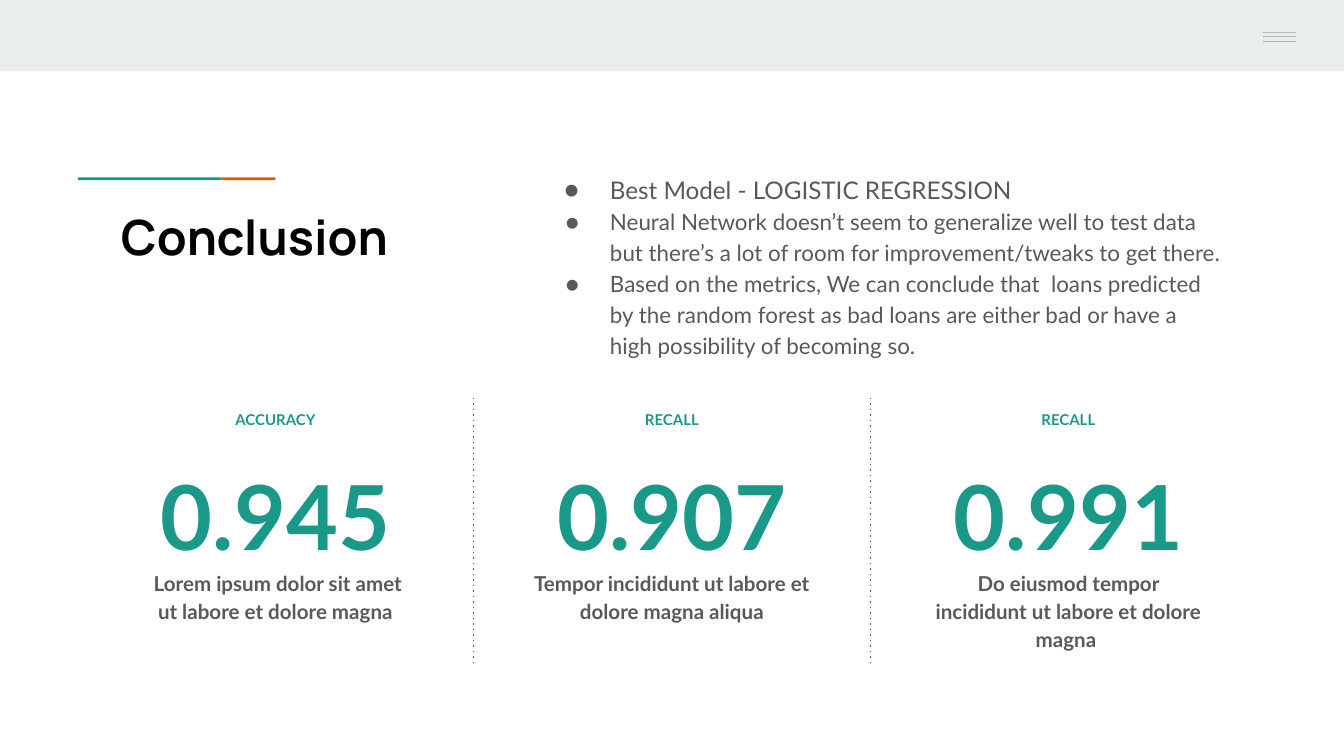
from pptx import Presentation
from pptx.dml.color import RGBColor
from pptx.enum.shapes import MSO_CONNECTOR, MSO_SHAPE
from pptx.enum.text import MSO_ANCHOR, PP_ALIGN
from pptx.oxml import parse_xml
from pptx.oxml.ns import nsdecls
from pptx.util import Inches, Pt

TEAL = RGBColor(0x1A, 0x99, 0x88)
ORANGE = RGBColor(0xEB, 0x56, 0x00)
GRAY = RGBColor(0x59, 0x59, 0x59)
SILVER = RGBColor(0xB7, 0xB7, 0xB7)
PALE = RGBColor(0xE9, 0xED, 0xEE)
BLACK = RGBColor(0, 0, 0)

deck = Presentation()
deck.slide_width = Inches(10)
deck.slide_height = Inches(10 * 9 / 16)
slide = deck.slides.add_slide(deck.slide_layouts[5])
shapes = slide.shapes


def style(frame, name, color, bold):
    frame.word_wrap = True
    frame.vertical_anchor = MSO_ANCHOR.TOP
    frame.margin_left = frame.margin_right = Inches(0.1)
    frame.margin_top = frame.margin_bottom = Inches(0.1)
    for para in frame.paragraphs:
        for run in para.runs:
            run.font.name = name
            run.font.color.rgb = color
            run.font.bold = bold


def rule(x1, y1, x2, y2, color):
    line = shapes.add_connector(
        MSO_CONNECTOR.STRAIGHT, Inches(x1), Inches(y1), Inches(x2), Inches(y2))
    line.line.color.rgb = color
    line.line.width = Pt(0.75)
    line._element.spPr.append(parse_xml(f"<a:effectLst {nsdecls('a')}/>"))
    return line


bars = [
    (0, 0, 10, 0.53, PALE),
    (0.58, 1.32, 1.07, 0.02, TEAL),
    (1.65, 1.32, 0.4, 0.02, ORANGE),
]
for left, top, width, height, color in bars:
    bar = shapes.add_shape(
        MSO_SHAPE.RECTANGLE, Inches(left), Inches(top), Inches(width), Inches(height))
    bar.shadow.inherit = False
    bar.fill.solid()
    bar.fill.fore_color.rgb = color
    bar.line.fill.background()

for y in (0.24, 0.27, 0.31):
    rule(9.4, y, 9.64, y, SILVER)

title = shapes.title
title.left, title.top = Inches(0.8), Inches(1.44)
title.width, title.height = Inches(3.06), Inches(1.13)
title.text_frame.text = "Conclusion"
style(title.text_frame, "Manrope", BLACK, True)
head = title.text_frame.paragraphs[0]
head.alignment = PP_ALIGN.LEFT
head.runs[0].font.size = Pt(26)

points = [
    ("Best Model - LOGISTIC REGRESSION", 13, 0.34),
    ("Neural Network doesn’t seem to generalize well to test data but there’s "
     "a lot of room for improvement/tweaks to get there.", 12, 0.33),
    ("Based on the metrics, We can conclude that  loans predicted by the random "
     "forest as bad loans are either bad or have a high possibility of becoming so.",
     12, 0.33),
]
body = shapes.add_textbox(
    Inches(3.94), Inches(1.17), Inches(5.25), Inches(1.64)).text_frame
body.text = "\n".join(text for text, size, hang in points)
for para, (text, size, hang) in zip(body.paragraphs, points):
    para.line_spacing = 1.15
    props = para._p.get_or_add_pPr()
    props.set("marL", str(Inches(0.5)))
    props.set("indent", str(-Inches(hang)))
    props.append(parse_xml(
        f"<a:buClr {nsdecls('a')}><a:srgbClr val='{GRAY}'/></a:buClr>"))
    props.append(parse_xml(f"<a:buFont {nsdecls('a')} typeface='Lato'/>"))
    props.append(parse_xml(f"<a:buChar {nsdecls('a')} char='●'/>"))
    para.runs[0].font.size = Pt(size)
style(body, "Lato", GRAY, False)

stats = [
    ("ACCURACY", "0.945", " Lorem ipsum dolor sit amet ut labore et dolore magna"),
    ("RECALL", "0.907", "Tempor incididunt ut labore et dolore magna aliqua"),
    ("RECALL", "0.991", "Do eiusmod tempor incididunt ut labore et dolore magna "),
]
rows = [
    (2.96, 1.93, 0.25, 8, TEAL),
    (3.21, 2.52, 1.04, 48, TEAL),
    (4.12, 2.26, 0.81, 11, GRAY),
]
pitch = 2.95
for col, stat in enumerate(stats):
    center = 2.05 + col * pitch
    for text, (top, width, height, size, color) in zip(stat, rows):
        frame = shapes.add_textbox(
            Inches(center - width / 2), Inches(top),
            Inches(width), Inches(height)).text_frame
        frame.text = text
        style(frame, "Lato", color, True)
        para = frame.paragraphs[0]
        para.alignment = PP_ALIGN.CENTER
        para.line_spacing = 1.15
        para.space_after = Pt(16)
        para.runs[0].font.size = Pt(size)
    if col:
        x = center - pitch / 2
        split = rule(x, 2.96, x, 4.96, GRAY)
        split.line._get_or_add_ln().append(
            parse_xml(f"<a:prstDash {nsdecls('a')} val='dot'/>"))

deck.save("out.pptx")
